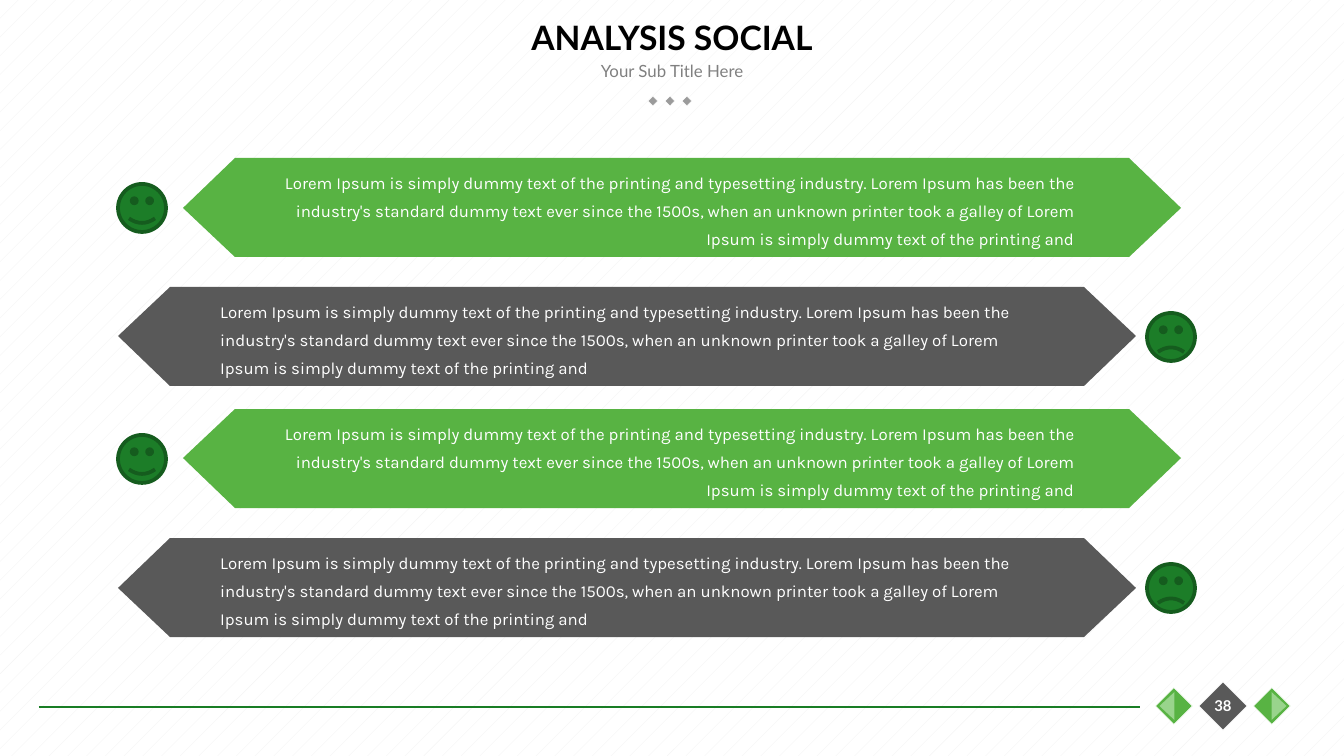
from pptx import Presentation
from pptx.dml.color import RGBColor
from pptx.enum.dml import MSO_PATTERN
from pptx.enum.shapes import MSO_CONNECTOR, MSO_SHAPE as Shape
from pptx.enum.text import MSO_ANCHOR as Anchor, MSO_AUTO_SIZE as AutoSize, PP_ALIGN as Align
from pptx.oxml.ns import qn
from pptx.util import Pt

EMU_PER_PX = 914400 / 134.4
COLORS = {
    "green": "58B343", "light_green": "99D48C", "rule": "197D25",
    "face": "1C7D28", "face_line": "155C1E", "dark": "595959",
    "dot": "9B9B9B", "subtitle": "808080", "stripe": "F2F2F2",
    "white": "FFFFFF", "black": "000000",
}
BODY = ("Lorem Ipsum is simply dummy text of the printing and typesetting industry. "
        "Lorem Ipsum has been the industry's standard dummy text ever since the 1500s, "
        "when an unknown printer took a galley of Lorem Ipsum is simply dummy text of "
        "the printing and")
BANNER_TOPS = (158, 287, 409, 538)
BANNER_HEIGHT = 99
TIP_DEPTH = 52


def px(length):
    return round(length * EMU_PER_PX)


def color(name):
    return RGBColor.from_string(COLORS[name])


def paint(shape, fill, line=None, line_width=0.25):
    shape.shadow.inherit = False
    shape.fill.solid()
    shape.fill.fore_color.rgb = color(fill)
    if line:
        shape.line.color.rgb = color(line)
        shape.line.width = Pt(line_width)
    else:
        shape.line.fill.background()


def write(box, text, size, ink, font="Lato", bold=False, align=Align.CENTER,
          anchor=Anchor.MIDDLE):
    frame = box.text_frame
    frame.word_wrap = True
    frame.vertical_anchor = anchor
    para = frame.paragraphs[0]
    para.text = text
    para.alignment = align
    para.font.size = Pt(size)
    para.font.name = font
    para.font.bold = bold
    para.font.color.rgb = color(ink)
    return para


def add_text(slide, left, top, width, height, *args, **kwargs):
    box = slide.shapes.add_textbox(px(left), px(top), px(width), px(height))
    return box, write(box, *args, **kwargs)


def add_title(slide):
    title = slide.shapes.title
    title.left, title.top, title.width, title.height = px(101), 0, px(1142), px(75)
    write(title, "ANALYSIS SOCIAL", 18, "black", bold=True)


def add_centered(slide, kind, center_x, center_y, width, height, rotation):
    shape = slide.shapes.add_shape(kind, px(center_x - width / 2), px(center_y - height / 2),
                                   px(width), px(height))
    shape.rotation = rotation
    return shape


def add_diamond(slide, center_x, center_y, side, fill):
    diamond = add_centered(slide, Shape.RECTANGLE, center_x, center_y, side, side, 315)
    paint(diamond, fill, "white")


def add_arrow_button(slide, center_x, direction):
    """Green diamond with a light facet on its left (-1) or right (1) half."""
    add_diamond(slide, center_x, 706, 26, "green")
    facet = add_centered(slide, Shape.FLOWCHART_EXTRACT, center_x + 7 * direction, 706,
                         28, 15, 90 * direction % 360)
    paint(facet, "light_green")


def add_footer(slide):
    rule = slide.shapes.add_connector(MSO_CONNECTOR.STRAIGHT, px(39), px(707), px(1140), px(707))
    rule.line.color.rgb = color("rule")
    rule.line.width = Pt(0.75)
    properties = rule._element.spPr
    properties.append(properties.makeelement(qn("a:effectLst"), {}))
    add_diamond(slide, 1223, 706, 34, "dark")
    add_arrow_button(slide, 1272, 1)
    add_arrow_button(slide, 1174, -1)
    add_text(slide, 1195, 689, 56, 34, "38", 8, "white", bold=True)


def add_banner(slide, left, top, width, fill):
    """Two mirrored halves that form one bar, pointed at both ends."""
    group = slide.shapes.add_group_shape()
    middle, bottom = left + width / 2, top + BANNER_HEIGHT
    for tip, inward in ((left, 1), (left + width, -1)):
        shoulder = tip + inward * TIP_DEPTH
        builder = group.shapes.build_freeform(shoulder, top, scale=EMU_PER_PX)
        builder.add_line_segments([(tip, top + BANNER_HEIGHT / 2), (shoulder, bottom),
                                   (middle, bottom), (middle, top)])
        paint(builder.convert_to_shape(), fill)


def add_banner_text(slide, left, top, align):
    box, para = add_text(slide, left, top, 841, BANNER_HEIGHT, BODY, 9, "white",
                         font="Karla", align=align, anchor=Anchor.TOP)
    para.line_spacing = Pt(15)
    box.text_frame.auto_size = AutoSize.SHAPE_TO_FIT_TEXT


def add_face(slide, left, top, happy):
    face = slide.shapes.add_shape(Shape.SMILEY_FACE, px(left), px(top), px(48), px(48))
    if not happy:
        face.adjustments[0] = -0.047
    paint(face, "face", "face_line", 2)


def main():
    deck = Presentation()
    deck.slide_width, deck.slide_height = px(1344), px(756)
    slide = deck.slides.add_slide(deck.slide_layouts[5])
    background = slide.background.fill
    background.patterned()
    background.pattern = MSO_PATTERN.PERCENT_5
    background.fore_color.rgb = color("stripe")
    background.back_color.rgb = color("white")

    for index in range(3):
        add_diamond(slide, 653 + 17 * index, 101, 7, "dot")
    add_text(slide, 504, 54, 336, 34, "Your Sub Title Here", 9, "subtitle")
    add_footer(slide)
    add_title(slide)

    for index, top in enumerate(BANNER_TOPS):
        happy = index % 2 == 0
        if happy:
            add_banner(slide, 183, top, 998, "green")
            add_banner_text(slide, 246, top, Align.RIGHT)
        else:
            add_banner(slide, 118, top, 1018, "dark")
            add_banner_text(slide, 207, top, Align.LEFT)
        add_face(slide, 118 if happy else 1147, top + 26, happy)

    deck.save("out.pptx")


if __name__ == "__main__":
    main()
